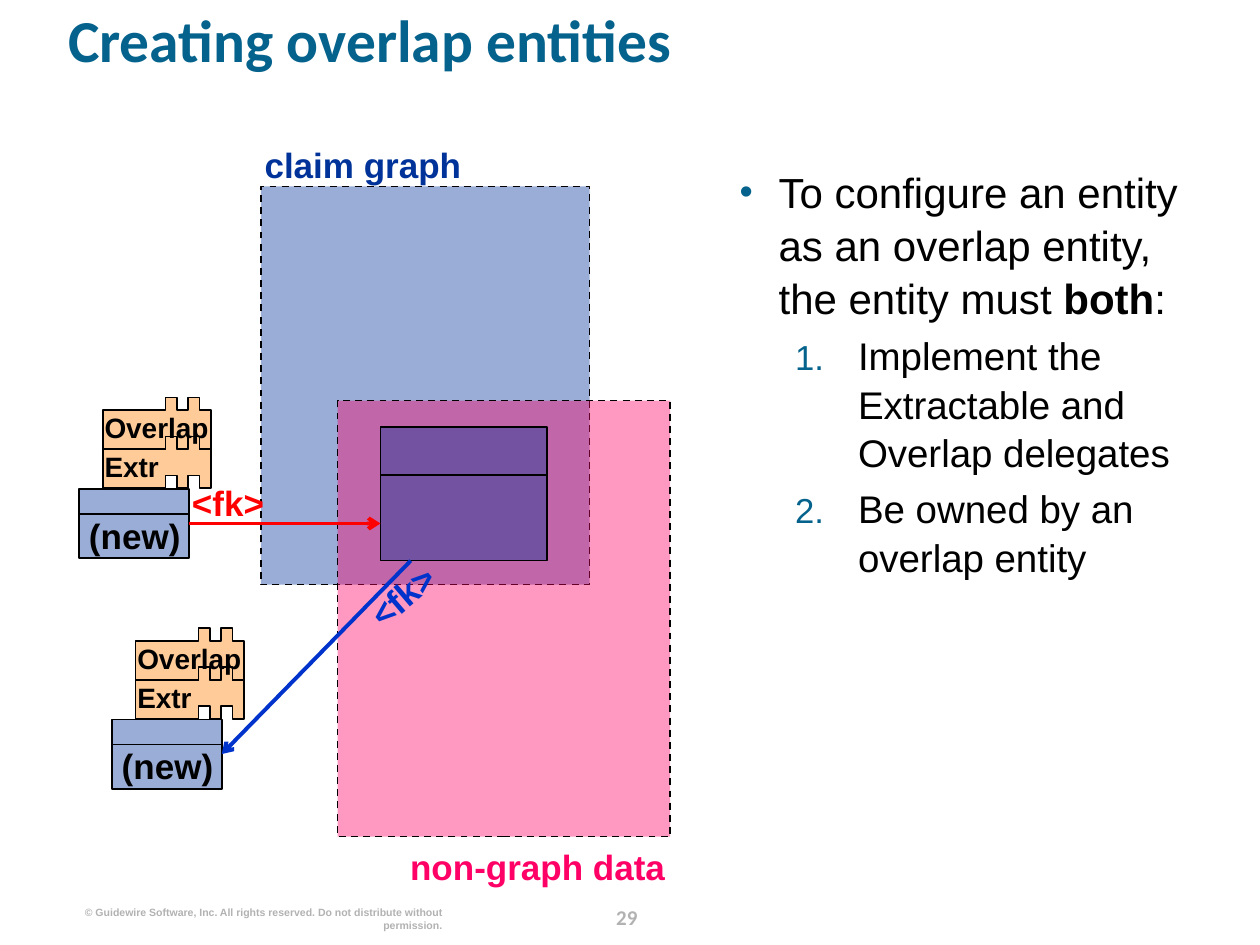
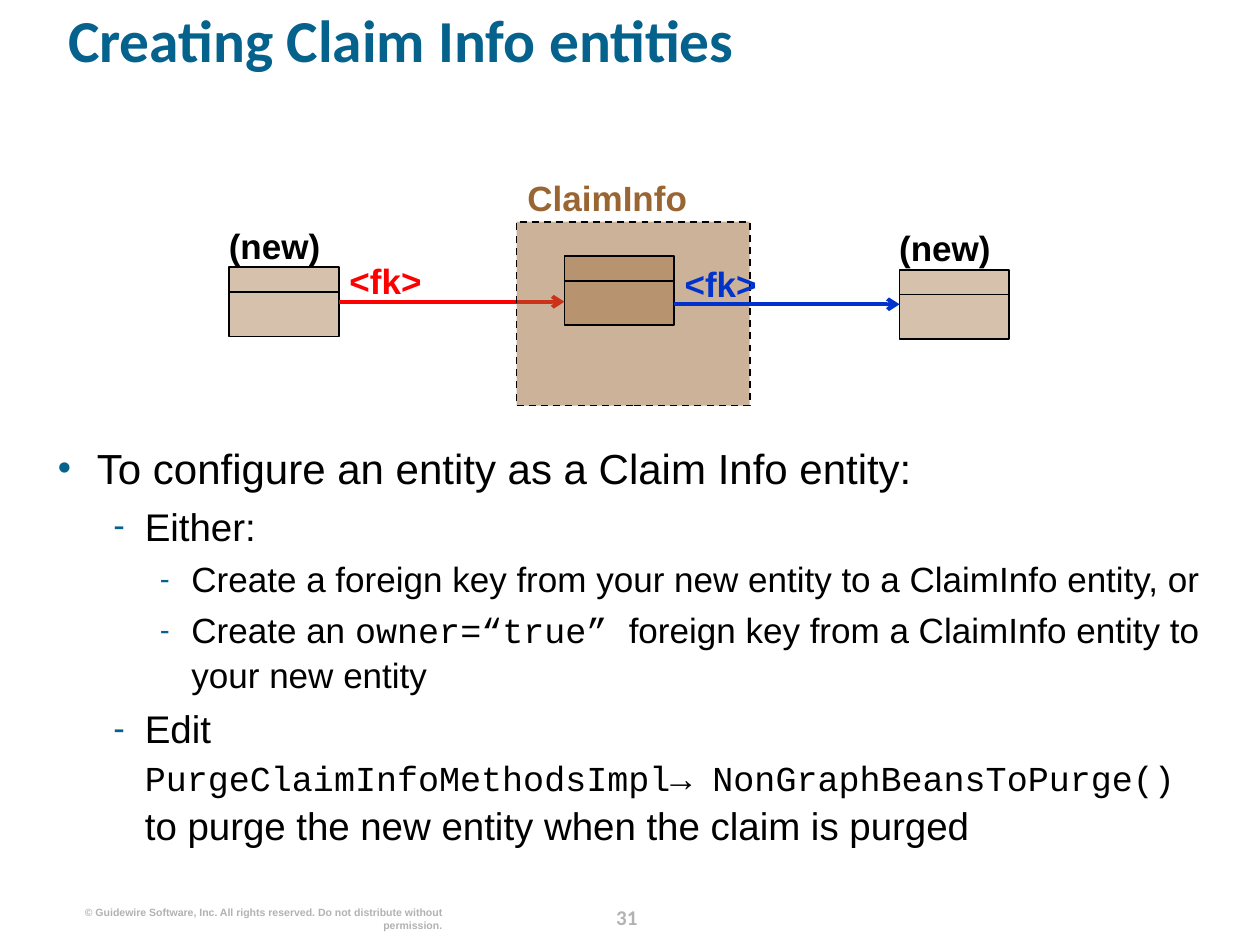
from lxml import etree
from pptx import Presentation
from pptx.dml.color import RGBColor
from pptx.enum.dml import MSO_LINE_DASH_STYLE as Dash
from pptx.enum.shapes import MSO_CONNECTOR as Connector, MSO_SHAPE as Shape
from pptx.enum.text import MSO_ANCHOR as Anchor, PP_ALIGN as Align
from pptx.oxml.ns import qn
from pptx.util import Inches, Pt

WIDTH, HEIGHT = Inches(10), Inches(7.5)
COLUMN, ROW = WIDTH // 100, HEIGHT // 75

BLACK = RGBColor(0x00, 0x00, 0x00)
TEAL = RGBColor(0x04, 0x62, 0x8C)
GRAY = RGBColor(0xB2, 0xB2, 0xB2)
NAVY = RGBColor(0x00, 0x33, 0x99)
PINK = RGBColor(0xFF, 0x00, 0x66)
BROWN = RGBColor(0x99, 0x66, 0x33)
PEACH = RGBColor(0xFF, 0xCC, 0x99)
RED = RGBColor(0xFF, 0x00, 0x00)
BLUE = RGBColor(0x00, 0x33, 0xCC)

TITLE = {"size": Pt(34), "name": "Calibri", "bold": True}
PAGE_NUMBER = {"size": Pt(12), "name": "Calibri", "bold": True}
COPYRIGHT = {"size": Pt(6), "name": "Arial", "bold": True}
LABEL = {"size": Pt(20), "name": "Arial", "bold": True}
DELEGATE = {"size": Pt(16), "name": "Arial", "bold": True}
BOLD = {"bold": True}
CODE = {"name": "Courier New", "size": Pt(20)}

# Text size, left margin and hanging indent in inches, space before as a share
# of the size, bullet size in percent, bullet element and its attributes
DASH_BULLET = ("a:buChar", {"char": "-"})
LIST_LEVELS = {
    "point": (24, 0.31, 0.31, 0.4, 90, "a:buChar", {"char": "•"}),
    "number": (22, 0.94, 0.5, 0.2, 90, "a:buAutoNum", {"type": "arabicPeriod"}),
    "dash": (22, 0.69, 0.25, 0.2, 90, *DASH_BULLET),
    "subdash": (20, 1.06, 0.25, 0.2, 85, *DASH_BULLET),
}

ENTITY_SIZE = (8.7, 5.5)
HEADER_SHARE = 0.36
RIGHT, LEFT = 3, 1
PIECE_PITCH = 3.1
PIECE_EDGE = [(0, 1), (5, 1), (5, 0), (5.9, 0), (5.9, 1),
              (6.8, 1), (6.8, 0), (7.7, 0), (7.7, 1), (8.6, 1)]


def grid(*lengths):
    """Turn alternating column and row counts into slide lengths."""
    return [round(length * (ROW if index % 2 else COLUMN))
            for index, length in enumerate(lengths)]


def apply(target, values):
    for name, value in values.items():
        setattr(target, name, value)


def set_font(font, values, color):
    apply(font, values)
    font.color.rgb = color


def add_frame(slide, box):
    shape = slide.shapes.add_textbox(*grid(*box))
    apply(shape.text_frame, {
        "word_wrap": True, "vertical_anchor": Anchor.TOP,
        "margin_left": 0, "margin_right": 0, "margin_top": 0, "margin_bottom": 0})
    return shape


def add_text(slide, box, text, values, color, align=Align.LEFT, spacing=None):
    shape = add_frame(slide, box)
    paragraph = shape.text_frame.paragraphs[0]
    apply(paragraph, {"alignment": align, "line_spacing": spacing})
    run = paragraph.add_run()
    run.text = text
    set_font(run.font, values, color)
    return shape


def add_label(slide, left, top, text, color=BLACK, width=7.4, align=Align.CENTER):
    return add_text(slide, (left, top, width, 3.3), text, LABEL, color, align)


def add_bullet(paragraph, margin, hanging, percent, tag, attributes):
    properties = paragraph._p.get_or_add_pPr()
    properties.set("marL", str(Inches(margin)))
    properties.set("indent", str(-Inches(hanging)))
    color = etree.SubElement(properties, qn("a:buClr"))
    etree.SubElement(color, qn("a:srgbClr"), val=str(TEAL))
    etree.SubElement(properties, qn("a:buSzPct"), val=str(percent * 1000))
    etree.SubElement(properties, qn("a:buFont"), typeface="Arial")
    etree.SubElement(properties, qn(tag), attributes)


def add_list(slide, box, items):
    """Add (level, runs) items; a run is a text with its font changes, None breaks the line."""
    frame = add_frame(slide, box).text_frame
    for index, (level, *runs) in enumerate(items):
        size, margin, hanging, gap, percent, tag, attributes = LIST_LEVELS[level]
        paragraph = frame.add_paragraph() if index else frame.paragraphs[0]
        add_bullet(paragraph, margin, hanging, percent, tag, attributes)
        paragraph.line_spacing = 1.05
        if index:
            paragraph.space_before = Pt(size * gap)
        for content in runs:
            if content is None:
                paragraph.add_line_break()
                continue
            text, changes = content if isinstance(content, tuple) else (content, {})
            run = paragraph.add_run()
            run.text = text
            set_font(run.font, {"name": "Arial", "size": Pt(size), **changes}, BLACK)


def paint(shape, color, opacity=100, dash=None):
    shape.shadow.inherit = False
    shape.fill.solid()
    shape.fill.fore_color.rgb = color
    if opacity < 100:
        fill_color = shape.element.spPr.find(f"{qn('a:solidFill')}/{qn('a:srgbClr')}")
        etree.SubElement(fill_color, qn("a:alpha"), val=str(opacity * 1000))
    shape.line.color.rgb = BLACK
    apply(shape.line, {"width": Pt(1), "dash_style": dash})
    return shape


def add_rectangle(slide, box, color, opacity=40, dash=None):
    shape = slide.shapes.add_shape(Shape.RECTANGLE, *grid(*box))
    return paint(shape, color, opacity, dash)


def add_line(slide, start, end, color=BLACK, width=1):
    line = slide.shapes.add_connector(Connector.STRAIGHT, *grid(*start, *end))
    line.line.color.rgb = color
    line.line.width = Pt(width)
    etree.SubElement(line.element.spPr, qn("a:effectLst"))
    return line


def add_arrow(slide, start, end, color):
    arrow = add_line(slide, start, end, color, 2.25)
    outline = arrow.line._get_or_add_ln()
    etree.SubElement(outline, qn("a:tailEnd"), type="arrow")
    return arrow


def add_entity(slide, left, top, color, size=ENTITY_SIZE):
    """Draw a box whose header is cut off by a line."""
    width, height = size
    box = add_rectangle(slide, (left, top, width, height), color)
    divider = top + height * HEADER_SHARE
    add_line(slide, (left + width, divider), (left, divider))
    return box


def side_middle(left, top, site):
    """Middle of the left or right side of an entity of the usual size."""
    width, height = ENTITY_SIZE
    return left + (width if site == RIGHT else 0), top + height / 2


def add_delegate(slide, left, top, name):
    """Draw a puzzle piece whose lower edge repeats its upper one."""
    lower_edge = [(x, y + PIECE_PITCH) for x, y in reversed(PIECE_EDGE)]
    start, *points = [grid(left + x, top + y) for x, y in PIECE_EDGE + lower_edge]
    builder = slide.shapes.build_freeform(*start, scale=1.0)
    builder.add_line_segments(points, close=True)
    paint(builder.convert_to_shape(), PEACH)
    add_text(slide, (left + 0.15, top + 1.03, 8.6, 2.7), name, DELEGATE, BLACK)


def add_overlap_entity(slide, left, top):
    box = add_entity(slide, left, top, NAVY)
    add_label(slide, left + 0.7, top + 2, "(new)")
    for index, name in enumerate(["Extr", "Overlap"]):
        add_delegate(slide, left + 1.85, top - 4.15 - index * PIECE_PITCH, name)
    return box


def add_slide(presentation, title, number):
    slide = presentation.slides.add_slide(presentation.slide_layouts[6])
    add_text(slide, (46.9, 71.3, 5.7, 2.5), str(number), PAGE_NUMBER, GRAY,
             Align.CENTER, Pt(18))
    add_text(slide, (6.1, 71.9, 29, 2),
             "© Guidewire Software, Inc. All rights reserved. "
             "Do not distribute without permission.", COPYRIGHT, GRAY, Align.RIGHT)
    add_text(slide, (5.4, 1.3, 91, 8.1), title, TITLE, TEAL, spacing=0.8)
    return slide


def build_overlap_slide(presentation):
    slide = add_slide(presentation, "Creating overlap entities", 29)
    add_rectangle(slide, (20.7, 14.8, 26.1, 31.6), NAVY, dash=Dash.DASH)
    add_rectangle(slide, (26.8, 31.8, 26.4, 34.6), PINK, dash=Dash.DASH)
    add_list(slide, (58.7, 13, 38, 56.8), [
        ("point", "To configure an entity as an overlap entity, the entity must ",
         ("both", BOLD), ":"),
        ("number", "Implement the Extractable and Overlap delegates"),
        ("number", "Be owned by an overlap entity"),
    ])
    add_label(slide, 21, 11.4, "claim graph", NAVY, 17.3, Align.LEFT)
    add_label(slide, 31.3, 67.1, "non-graph data", PINK, 21.5, Align.RIGHT)
    add_entity(slide, 30.2, 33.9, NAVY, (13.2, 10.6))

    owner, owned = (6.3, 38.8), (8.9, 57.1)
    owner_box = add_overlap_entity(slide, *owner)
    start = side_middle(*owner, RIGHT)
    arrow = add_arrow(slide, start, (30.2, start[1]), RED)
    arrow.begin_connect(owner_box, RIGHT)
    add_label(slide, 14.4, 38.2, "<fk>", RED)

    owned_box = add_overlap_entity(slide, *owned)
    arrow = add_arrow(slide, (32.6, 44.5), side_middle(*owned, RIGHT), BLUE)
    arrow.end_connect(owned_box, RIGHT)
    add_label(slide, 28.2, 45.6, "<fk>", BLUE).rotation = 319.4


def build_claim_info_slide(presentation):
    slide = add_slide(presentation, "Creating Claim Info entities", 31)
    add_list(slide, (4.6, 34.9, 92, 35), [
        ("point", "To configure an entity as a Claim Info entity:"),
        ("dash", "Either:"),
        ("subdash", "Create a foreign key from your new entity to a ClaimInfo entity, or"),
        ("subdash", "Create an ", ("owner=“true” ", CODE),
         "foreign key from a ClaimInfo entity to your new entity"),
        ("dash", "Edit", None,
         ("PurgeClaimInfoMethodsImpl→ NonGraphBeansToPurge()", CODE),
         " to purge the new entity when the claim is purged"),
    ])
    source, info, target = (18.2, 21.2), (44.8, 20.3), (71.4, 21.4)
    source_box = add_entity(slide, *source, BROWN)
    start = side_middle(*source, RIGHT)
    arrow = add_arrow(slide, start, (info[0], start[1]), RED)
    arrow.begin_connect(source_box, RIGHT)

    add_rectangle(slide, (41, 17.6, 18.5, 14.6), BROWN, 50, Dash.DASH)
    add_label(slide, 39.8, 14, "ClaimInfo", BROWN, 16.8)
    add_entity(slide, *info, BROWN)
    target_box = add_entity(slide, *target, BROWN)
    end = side_middle(*target, LEFT)
    arrow = add_arrow(slide, (info[0] + ENTITY_SIZE[0], end[1]), end, BLUE)
    arrow.end_connect(target_box, LEFT)

    for left, top in (source, target):
        add_label(slide, left - 0.1, top - 3.4, "(new)")
    for left, top, color in ((26.9, 20.6, RED), (53.5, 20.8, BLUE)):
        add_label(slide, left, top, "<fk>", color)


def main():
    presentation = Presentation()
    apply(presentation, {"slide_width": WIDTH, "slide_height": HEIGHT})
    build_overlap_slide(presentation)
    build_claim_info_slide(presentation)
    presentation.save("out.pptx")


if __name__ == "__main__":
    main()
